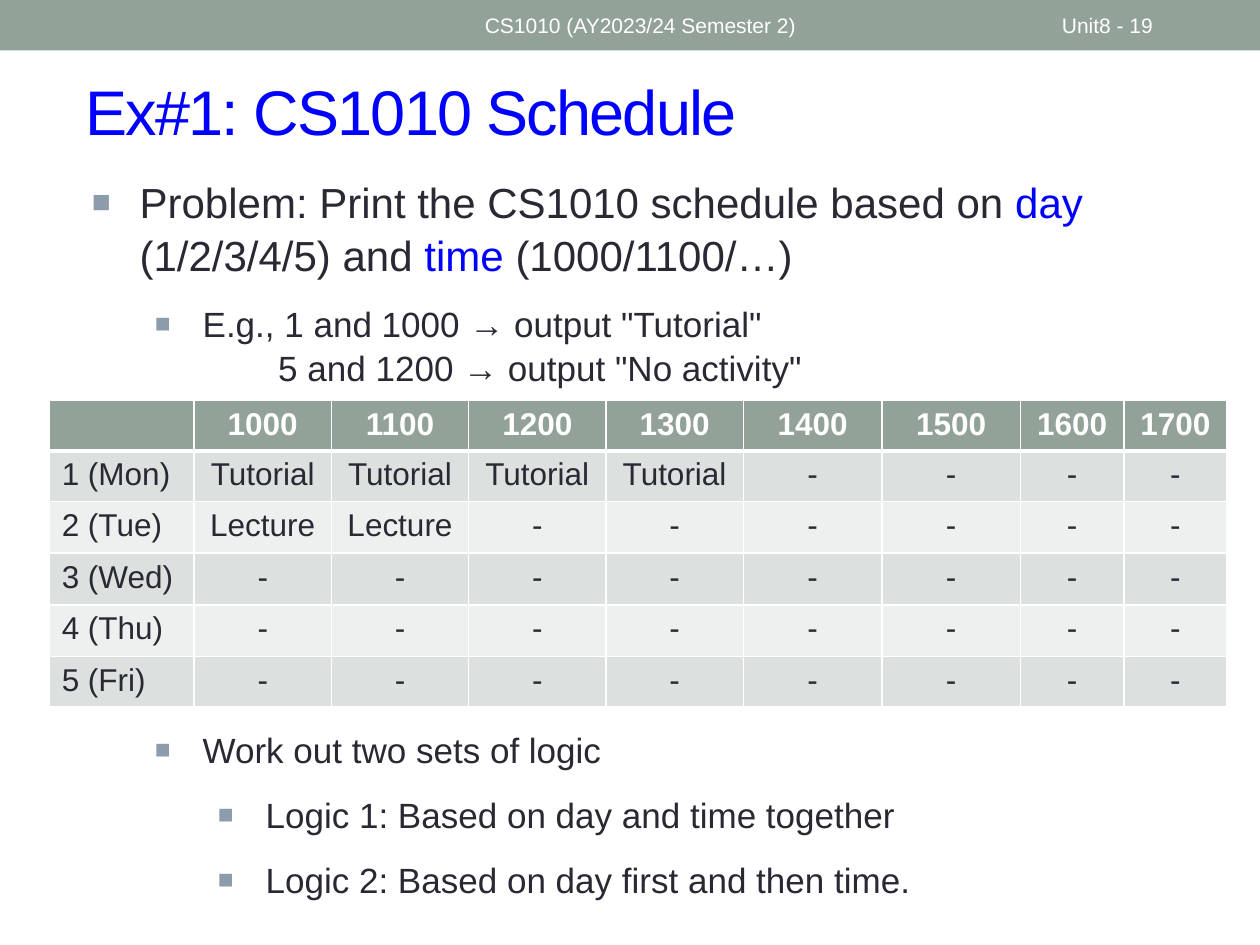
from lxml import etree
from pptx import Presentation
from pptx.dml.color import RGBColor
from pptx.enum.shapes import MSO_SHAPE
from pptx.enum.text import MSO_ANCHOR, PP_ALIGN
from pptx.oxml.ns import qn
from pptx.util import Inches, Pt

RECTANGLE = MSO_SHAPE.RECTANGLE
TOP, MIDDLE = MSO_ANCHOR.TOP, MSO_ANCHOR.MIDDLE
LEFT, CENTER = PP_ALIGN.LEFT, PP_ALIGN.CENTER

COLORS = {
    "bar": "93A299", "text": "292934", "accent": "0000FF", "bullet": "8C9CAD",
    "white": "FFFFFF", "odd": "DCE0DE", "even": "EEF0EF",
}
FONT = "Arial"
HOURS = ["1000", "1100", "1200", "1300", "1400", "1500", "1600", "1700"]
ACTIVITIES = {
    "1 (Mon)": ["Tutorial"] * 4,
    "2 (Tue)": ["Lecture"] * 2,
    "3 (Wed)": [],
    "4 (Thu)": [],
    "5 (Fri)": [],
}
COLUMN_WIDTHS = [1.15] + [1.09] * 4 + [1.1] * 2 + [0.82] * 2
ROW_HEIGHTS = [0.37, 0.37, 0.41, 0.41, 0.41, 0.37]
HANGING = 0.38
TABLE_GAP = 193


class SlideBuilder:
    def __init__(self, slide):
        self.slide = slide

    def bar(self, left, top, width, height, color):
        bar = self.slide.shapes.add_shape(
            RECTANGLE, Inches(left), Inches(top), Inches(width), Inches(height))
        bar.shadow.inherit = False
        bar.fill.solid()
        bar.fill.fore_color.rgb = RGBColor.from_string(COLORS[color])
        bar.line.fill.background()

    def span(self, para, text, size, color="text", bold=False):
        span = para.add_run()
        span.text = text
        formats = {"name": FONT, "size": Pt(size), "bold": bold}
        for name, value in formats.items():
            setattr(span.font, name, value)
        span.font.color.rgb = RGBColor.from_string(COLORS[color])
        return span

    def box(self, left, top, width, height, anchor=TOP):
        box = self.slide.shapes.add_textbox(
            Inches(left), Inches(top), Inches(width), Inches(height))
        formats = {"word_wrap": True, "vertical_anchor": anchor}
        for name, value in formats.items():
            setattr(box.text_frame, name, value)
        return box.text_frame

    def label(self, text, place, size, color, spacing=0):
        frame = self.box(*place, anchor=MIDDLE)
        span = self.span(frame.paragraphs[0], text, size, color)
        if spacing:
            span.font._element.set("spc", str(spacing * 100))

    def item(self, para, spans, size, level, margin, before=12, bullet=True):
        formats = {"level": level, "space_before": Pt(before), "line_spacing": 1.05}
        for name, value in formats.items():
            setattr(para, name, value)
        properties = para._p.get_or_add_pPr()
        properties.set("marL", str(Inches(margin)))
        properties.set("indent", str(Inches(-HANGING if bullet else 0)))
        if bullet:
            color = etree.SubElement(properties, qn("a:buClr"))
            etree.SubElement(color, qn("a:srgbClr"), val=COLORS["bullet"])
            etree.SubElement(properties, qn("a:buSzPct"), val="75000")
            etree.SubElement(properties, qn("a:buFont"), typeface=FONT)
            etree.SubElement(properties, qn("a:buChar"), char="■")
        for text, color in spans:
            self.span(para, text, size, color)

    def outline(self, tag, width):
        line = etree.Element(qn(tag), w=str(Pt(width)))
        fill = etree.SubElement(line, qn("a:solidFill"))
        etree.SubElement(fill, qn("a:srgbClr"), val=COLORS["white"])
        return line

    def cell(self, cell, text, fill, row, column):
        header = row == 0
        cell.fill.solid()
        cell.fill.fore_color.rgb = RGBColor.from_string(COLORS[fill])
        para = cell.text_frame.paragraphs[0]
        para.alignment = CENTER if header or column else LEFT
        if text:
            self.span(para, text, 18, "white" if header else "text", header)
        else:
            para.font.size = Pt(18)
        widths = {"a:lnL": 1, "a:lnR": 1, "a:lnT": 3 if row == 1 else 1,
                  "a:lnB": 3 if header else 1}
        properties = cell._tc.get_or_add_tcPr()
        for index, (tag, width) in enumerate(widths.items()):
            properties.insert(index, self.outline(tag, width))

    def table(self, left, top, rows):
        table = self.slide.shapes.add_table(
            len(rows), len(COLUMN_WIDTHS), Inches(left), Inches(top),
            Inches(sum(COLUMN_WIDTHS)), Inches(sum(ROW_HEIGHTS))).table
        for column, width in zip(table.columns, COLUMN_WIDTHS):
            column.width = Inches(width)
        for line, height in zip(table.rows, ROW_HEIGHTS):
            line.height = Inches(height)
        for row, texts in enumerate(rows):
            fill = "bar" if row == 0 else "odd" if row % 2 else "even"
            for column, text in enumerate(texts):
                self.cell(table.cell(row, column), text, fill, row, column)


def main():
    deck = Presentation()
    deck.slide_width, deck.slide_height = Inches(10), Inches(7.5)
    page = SlideBuilder(deck.slides.add_slide(deck.slide_layouts[6]))

    page.bar(0, 0, 10, 0.4, "bar")
    page.label("Ex#1: CS1010 Schedule", (0.58, 0.5, 9.19, 0.75), 36, "accent", -1)

    problem = [
        ("Problem: Print the CS1010 schedule based on ", "text"), ("day ", "accent"),
        ("(1/2/3/4/5) and ", "text"), ("time ", "accent"), ("(1000/1100/…)", "text"),
    ]
    items = [
        (problem, 24, 0, 0.38),
        ([('E.g., 1 and 1000 → output "Tutorial"', "text")], 20, 1, 0.88),
        ([('5 and 1200 → output "No activity"', "text")], 20, 1, 1.48, 0, False),
        ([("Work out two sets of logic", "text")], 20, 1, 0.88, TABLE_GAP),
        ([("Logic 1: Based on day and time together", "text")], 20, 2, 1.38),
        ([("Logic 2: Based on day first and then time.", "text")], 20, 2, 1.38),
    ]
    body = page.box(0.63, 1.33, 9.15, 1.45)
    for index, item in enumerate(items):
        para = body.add_paragraph() if index else body.paragraphs[0]
        page.item(para, *item)

    rows = [[""] + HOURS]
    for day, busy in ACTIVITIES.items():
        rows.append([day] + busy + ["-"] * (len(HOURS) - len(busy)))
    page.table(0.39, 3.18, rows)

    page.label("Unit8 - 19", (8.33, 0.02, 1.17, 0.36), 12, "white")
    page.label("CS1010 (AY2023/24 Semester 2)", (3.75, 0.02, 4.5, 0.36), 12, "white")
    deck.save("out.pptx")


if __name__ == "__main__":
    main()
